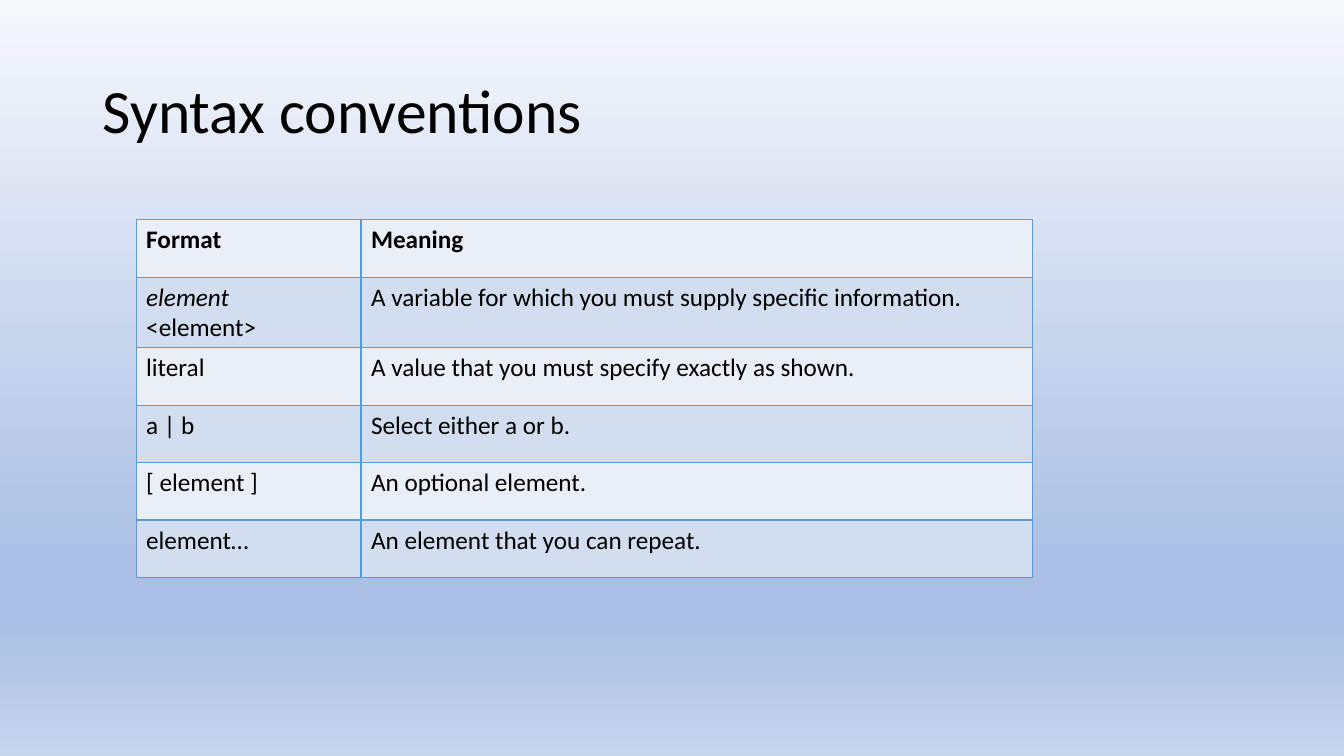
from pptx import Presentation
from pptx.dml.color import RGBColor as Rgb
from pptx.enum.text import MSO_ANCHOR as Anchor
from pptx.oxml.ns import qn
from pptx.util import Inches, Pt
from lxml.etree import SubElement

COLORS = {
    "text": "000000",
    "border": "5B9BD5",
    "light_row": "EAEFF7",
    "dark_row": "D2DEEF",
    "sky": "F6F8FC",
    "blue": "ABC0E4",
    "haze": "C7D5ED",
}
BACKDROP = [(0, "sky"), (74, "blue"), (83, "blue"), (100, "haze")]
CONVENTIONS = [
    ("Format", "Meaning"),
    ("element\n<element>", "A variable for which you must supply specific information."),
    ("literal", "A value that you must specify exactly as shown."),
    ("a | b", "Select either a or b."),
    ("[ element ]", "An optional element."),
    ("element…", "An element that you can repeat."),
]


class SyntaxSlide:
    font = "Calibri"

    def __init__(self, slide):
        self.slide = slide

    def backdrop(self, stops):
        fill = self.slide.background.fill
        fill.gradient()
        fill.gradient_angle = 270
        stop_list = next(self.slide.element.iter(qn("a:gsLst")))
        for old_stop in list(stop_list):
            stop_list.remove(old_stop)
        for percent, color in stops:
            stop = SubElement(stop_list, qn("a:gs"), pos=str(percent * 1000))
            SubElement(stop, qn("a:srgbClr"), val=COLORS[color])

    def add_text(self, paragraph, text, **formats):
        run = paragraph.add_run()
        run.text = text
        for name, value in {"name": self.font, "bold": False, **formats}.items():
            setattr(run.font, name, value)
        run.font.color.rgb = Rgb.from_string(COLORS["text"])

    def title(self, text, left, top, width, height):
        heading = self.slide.shapes.add_textbox(
            Inches(left), Inches(top), Inches(width), Inches(height)
        ).text_frame
        for name, value in {"word_wrap": True, "vertical_anchor": Anchor.MIDDLE}.items():
            setattr(heading, name, value)
        heading.paragraphs[0].line_spacing = 0.9
        self.add_text(heading.paragraphs[0], text, size=Pt(44))

    def border(self, cell):
        properties = cell._tc.get_or_add_tcPr()
        for side in "LRTB":
            line = SubElement(properties, qn(f"a:ln{side}"), w=str(Pt(1)))
            solid = SubElement(line, qn("a:solidFill"))
            SubElement(solid, qn("a:srgbClr"), val=COLORS["border"])

    def cell(self, cell, text, color, bold):
        self.border(cell)
        cell.fill.solid()
        cell.fill.fore_color.rgb = Rgb.from_string(COLORS[color])
        paragraph = cell.text_frame.paragraphs[0]
        lines = text.split("\n")
        for index, line in enumerate(lines):
            if index:
                paragraph.add_line_break()
            italic = index < len(lines) - 1
            self.add_text(paragraph, line, size=Pt(18), bold=bold, italic=italic)

    def table(self, rows, left, top, widths, row_height):
        table = self.slide.shapes.add_table(
            len(rows), len(widths), Inches(left), Inches(top),
            Inches(sum(widths)), Inches(row_height * len(rows)),
        ).table
        for name, value in {"first_row": False, "horz_banding": False}.items():
            setattr(table, name, value)
        for column, width in zip(table.columns, widths):
            column.width = Inches(width)
        for r, texts in enumerate(rows):
            table.rows[r].height = Inches(row_height)
            color = "dark_row" if r % 2 else "light_row"
            for c, text in enumerate(texts):
                self.cell(table.cell(r, c), text, color, bold=r == 0)


def main():
    deck = Presentation()
    deck.slide_width, deck.slide_height = Inches(13.33), Inches(7.5)
    page = SyntaxSlide(deck.slides.add_slide(deck.slide_layouts[6]))
    page.backdrop(BACKDROP)
    page.title("Syntax conventions", 0.92, 0.4, 11.5, 1.45)
    page.table(CONVENTIONS, 1.35, 2.18, (2.23, 6.66), 0.57)
    deck.save("out.pptx")


if __name__ == "__main__":
    main()
